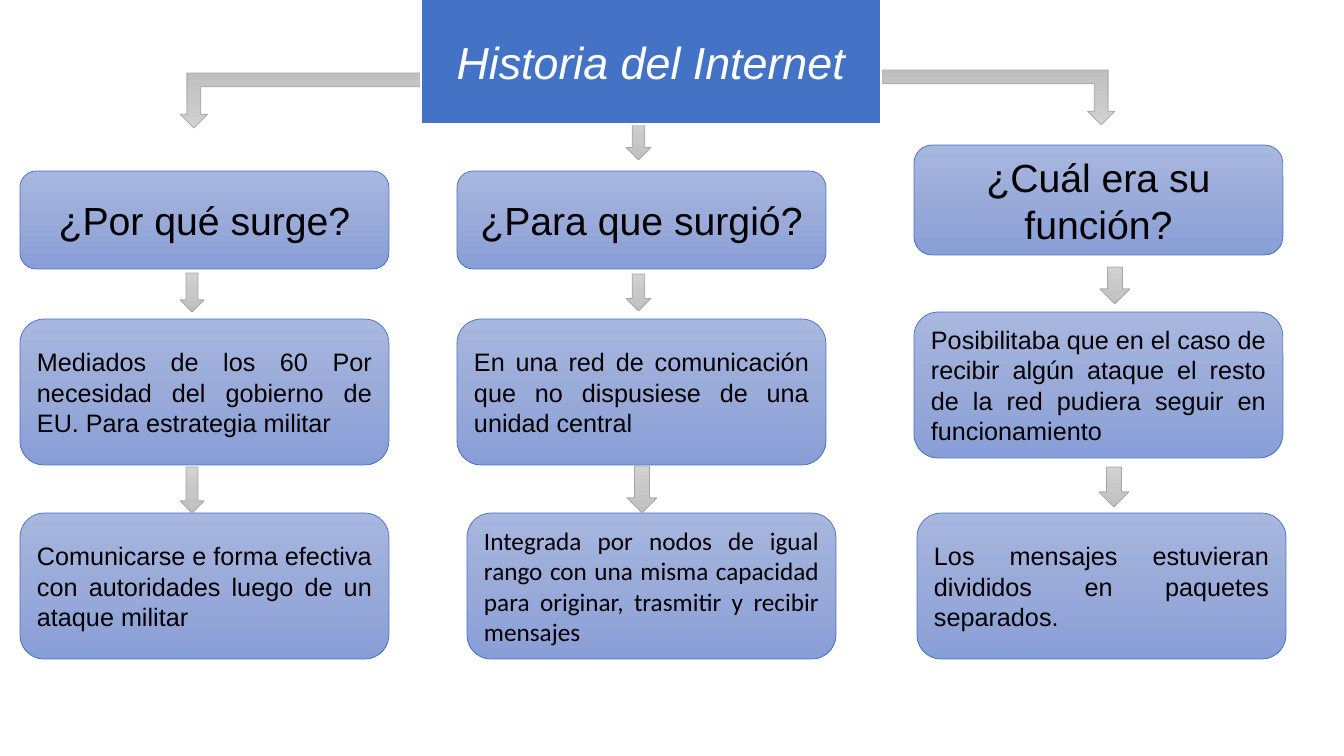
from copy import deepcopy

from pptx import Presentation
from pptx.dml.color import RGBColor
from pptx.enum.shapes import MSO_SHAPE
from pptx.enum.text import MSO_ANCHOR, MSO_AUTO_SIZE, PP_ALIGN
from pptx.oxml import parse_xml
from pptx.oxml.ns import nsdecls, qn
from pptx.util import Emu, Pt

ROUNDED = MSO_SHAPE.ROUNDED_RECTANGLE
BENT_ARROW = MSO_SHAPE.BENT_UP_ARROW
DOWN_ARROW = MSO_SHAPE.DOWN_ARROW
CENTER, JUSTIFY = PP_ALIGN.CENTER, PP_ALIGN.JUSTIFY
MIDDLE = MSO_ANCHOR.MIDDLE
NO_AUTOFIT = MSO_AUTO_SIZE.NONE

COLORS = {"blue": "4472C4", "gray": "A5A5A5", "white": "FFFFFF", "black": "000000"}
BLUE_GRADIENT = ("A8B7DF", "9AABD9", "889ED7")
GRAY_GRADIENT = ("D2D2D2", "C8C8C8", "C0C0C0")

# Content: each column lists (left, top, height, text, font)
TITLE = "Historia del Internet"
TITLE_BOX = (421, -1, 460, 125)
BOX_WIDTH = 369
COLUMNS = [
    [
        (20, 171, 98, "¿Por qué surge?", "Arial"),
        (20, 319, 146, "Mediados de los 60 Por necesidad del gobierno de EU. "
                       "Para estrategia militar", "Arial"),
        (20, 513, 146, "Comunicarse e forma efectiva con autoridades luego de "
                       "un ataque militar", "Arial"),
    ],
    [
        (457, 171, 98, "¿Para que surgió?", "Arial"),
        (457, 319, 146, "En una red de comunicación que no dispusiese de una "
                        "unidad central", "Arial"),
        (467, 513, 146, "Integrada por nodos de igual rango con una misma capacidad "
                        "para originar, trasmitir y recibir mensajes", "Calibri"),
    ],
    [
        (914, 145, 110, "¿Cuál era su función?", "Arial"),
        (914, 312, 146, "Posibilitaba que en el caso de recibir algún ataque el resto "
                        "de la red pudiera seguir en funcionamiento", "Arial"),
        (917, 513, 146, "Los mensajes estuvieran divididos en paquetes separados.", "Arial"),
    ],
]
DOWN_ARROWS = [
    (626, 118, 25, 42),
    (180, 273, 24, 39), (626, 274, 25, 37), (1100, 267, 30, 37),
    (180, 467, 24, 46), (627, 466, 30, 47), (1099, 467, 30, 40),
]
LEFT_BENT_ARROW = (180, 73, 241, 55)
RIGHT_BENT_ARROW = (882, 70, 233, 55)


def px(length):
    return Emu(round(length * 914400 / 100.8))


def rgb(name):
    return RGBColor.from_string(COLORS.get(name, name))


def set_line(shape, color, width):
    shape.line.color.rgb = rgb(color)
    shape.line.width = Pt(width)


def add_gradient_shape(kind, box, gradient, line_color):
    shape = slide.shapes.add_shape(kind, *map(px, box))
    shape.shadow.inherit = False
    shape.fill.gradient()
    shape.fill.gradient_angle = 270
    stop_list = shape._element.spPr.find(".//" + qn("a:gsLst"))
    stop_list.insert(1, deepcopy(stop_list[0]))
    for index, (stop, color) in enumerate(zip(shape.fill.gradient_stops, gradient)):
        stop.position = index / 2
        stop.color.rgb = rgb(color)
    set_line(shape, line_color, 0.5)
    return shape


def add_arrow(kind, box):
    return add_gradient_shape(kind, box, GRAY_GRADIENT, "gray")


def write(shape, text, font, size, color, alignment):
    frame = shape.text_frame
    frame.text = text
    frame.word_wrap = True
    frame.auto_size = NO_AUTOFIT
    frame.vertical_anchor = MIDDLE
    paragraph = frame.paragraphs[0]
    paragraph.alignment = alignment
    paragraph.font.name = font
    paragraph.font.size = Pt(size)
    paragraph.font.color.rgb = rgb(color)
    return paragraph


presentation = Presentation()
presentation.slide_width, presentation.slide_height = px(1344), px(756)
slide = presentation.slides.add_slide(presentation.slide_layouts[5])

# Question and answer boxes
for column in COLUMNS:
    for row, (left, top, height, text, font) in enumerate(column):
        box = add_gradient_shape(ROUNDED, (left, top, BOX_WIDTH, height),
                                 BLUE_GRADIENT, "blue")
        size, alignment = (28, CENTER) if row == 0 else (18, JUSTIFY)
        write(box, text, font, size, "black", alignment)

# Arrows
add_arrow(BENT_ARROW, LEFT_BENT_ARROW).rotation = 180
right_arrow = add_arrow(BENT_ARROW, RIGHT_BENT_ARROW)
right_arrow._element.spPr.find(qn("a:xfrm")).set("flipV", "1")
for arrow_box in DOWN_ARROWS:
    add_arrow(DOWN_ARROW, arrow_box)

# Title, rounded and in front of the arrow below it
title = slide.shapes.title
title.left, title.top, title.width, title.height = map(px, TITLE_BOX)
title._element.spPr.append(parse_xml(
    f'<a:prstGeom {nsdecls("a")} prst="roundRect"><a:avLst/></a:prstGeom>'))
title.fill.solid()
title.fill.fore_color.rgb = rgb("blue")
set_line(title, "white", 1.5)
write(title, TITLE, "Arial", 32, "white", CENTER).font.italic = True
slide.shapes._spTree.append(title._element)

presentation.save("out.pptx")
